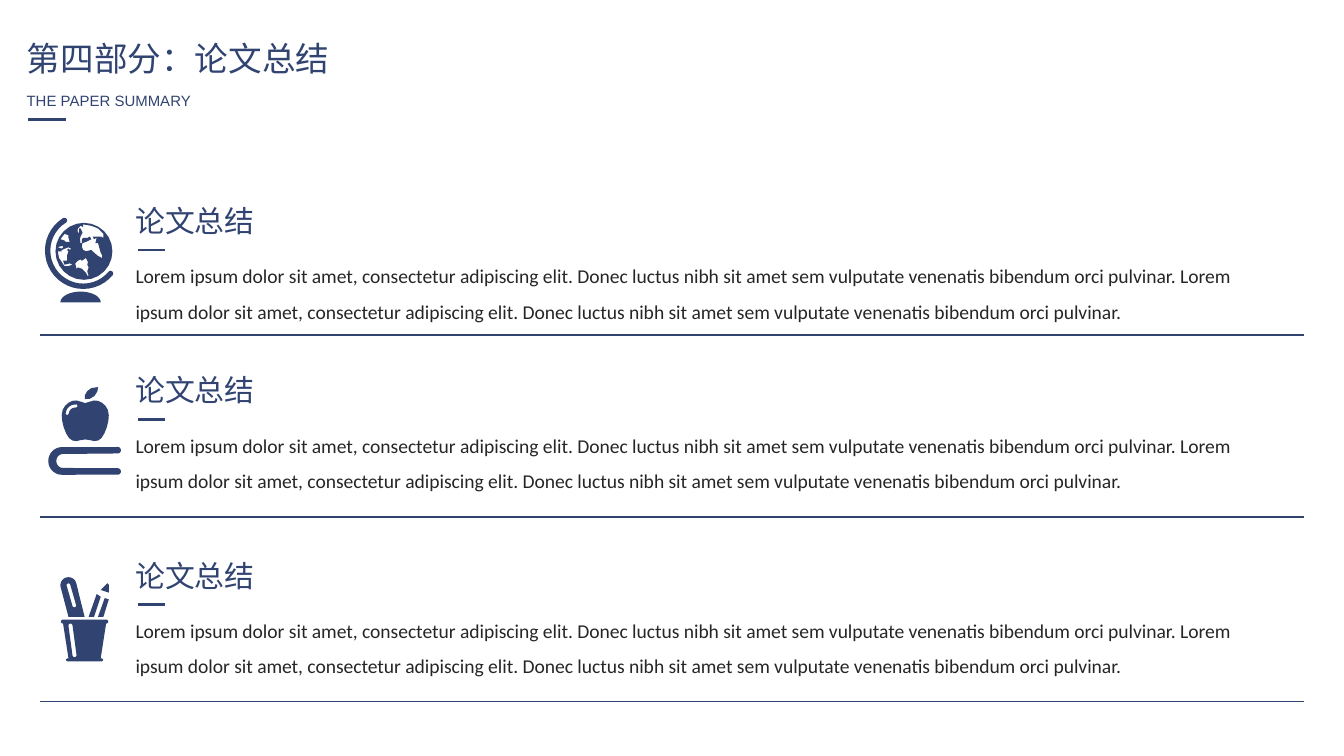
from math import cos, radians, sin

from lxml.etree import SubElement
from pptx import Presentation
from pptx.dml.color import RGBColor
from pptx.enum.shapes import MSO_CONNECTOR
from pptx.enum.text import MSO_ANCHOR, MSO_AUTO_SIZE, PP_ALIGN
from pptx.oxml.ns import qn
from pptx.util import Inches, Pt

NAVY = RGBColor(0x30, 0x43, 0x71)
DARK = RGBColor(0x26, 0x26, 0x26)
HAN = "Noto Sans CJK SC"
LOREM = ("Lorem ipsum dolor sit amet, consectetur adipiscing elit. Donec luctus "
         "nibh sit amet sem vulputate venenatis bibendum orci pulvinar.")

# Wide slide, 16 by 9
deck = Presentation()
deck.slide_width = Inches(10)
deck.slide_height = deck.slide_width * 9 // 16
slide = deck.slides.add_slide(deck.slide_layouts[5])
shapes = slide.shapes


def write(text, left, top, width, height, size, font=HAN, color=NAVY,
          wrap=False, space=1.0, box=None):
    box = box or shapes.add_textbox(0, 0, 0, 0)
    box.left, box.top = Inches(left), Inches(top)
    box.width, box.height = Inches(width), Inches(height)
    frame = box.text_frame
    frame.word_wrap = wrap
    frame.auto_size = MSO_AUTO_SIZE.SHAPE_TO_FIT_TEXT
    frame.vertical_anchor = MSO_ANCHOR.TOP
    para = frame.paragraphs[0]
    para.alignment, para.line_spacing = PP_ALIGN.LEFT, space
    run = para.add_run()
    run.text = text
    run.font.size, run.font.name = Pt(size), font
    run.font.color.rgb = color
    SubElement(run.font._element, qn("a:ea"), typeface=font)


def arc(x, y, wide, high, start, end):
    turns = [radians(start + (end - start) * i / 24) for i in range(25)]
    return [(x + wide * cos(t), y + high * sin(t)) for t in turns]


# Heading
write("第四部分：论文总结", 0.1, 0.23, 2.47, 0.4, 18, box=shapes.title)
write("THE PAPER SUMMARY", 0.1, 0.63, 1.44, 0.24, 8, font="Arial")
lines = [(0.21, 0.49, 0.89, 1.5)]

# Three rows: head, body, short accent and full rule
for top, rule in ((1.46, 2.49), (2.72, 3.85), (4.1, 5.22)):
    write("论文总结", 0.91, top, 1.1, 0.37, 16)
    write(f"{LOREM} {LOREM} ", 0.91, top + 0.37, 8.69, 0.6, 10.5,
          font="Calibri", color=DARK, wrap=True, space=1.5)
    lines += [(1.03, 1.23, top + 0.4, 1.5), (0.3, 9.7, rule, 1)]

for left, right, y, weight in lines:
    line = shapes.add_connector(MSO_CONNECTOR.STRAIGHT, Inches(left), Inches(y),
                                Inches(right), Inches(y))
    line.line.color.rgb, line.line.width = NAVY, Pt(weight)
    SubElement(line._element.spPr, qn("a:effectLst"))

# Icon outlines, in hundredths of an inch; inner outlines are holes
tips = [(62 + 26.5 * cos(radians(a)), 186.5 + 26.5 * sin(radians(a)))
        for a in (238, 40)]
globe = [
    arc(62, 186.5, 28.5, 28.5, 40, 238) + arc(*tips[0], 2, 2, 238, 418)
    + arc(62, 186.5, 24.5, 24.5, 238, 40) + arc(*tips[1], 2, 2, 220, 400),
    arc(60, 225, 15, 8, 180, 360),
    arc(62.5, 187, 21.2, 21.2, 0, 360),
    [(59, 174), (59, 170), (60, 170), (61.5, 173), (60, 176), (59.5, 178),
     (60, 181), (61, 181), (61, 178), (62, 177), (65, 177), (67, 176), (68, 178),
     (64, 180), (61.3, 181), (61, 184), (62, 186), (64, 187), (68, 186), (69, 187),
     (73, 190.5), (76, 192), (76, 190), (75, 188), (73, 181), (71, 181),
     (72, 177), (70, 178), (69, 176), (75, 176), (77, 177), (77, 174),
     (73, 170), (68, 168), (62, 167), (62, 169), (60, 168), (58, 170), (57.7, 172)],
    [(56, 196), (57, 200), (58, 199), (61, 200), (64, 203), (65, 205), (66, 205),
     (65, 202), (66, 199), (65, 197), (65.5, 195), (64, 192), (61, 194),
     (60, 193), (58, 194)],
    [(50, 186), (51, 185), (52, 186), (53, 185), (51, 184), (46, 186), (46, 187),
     (43, 187), (44, 192), (48, 198), (51, 198), (54, 197), (52, 196), (48, 197),
     (47, 194), (50, 194), (50, 190), (51, 187)],
    [(48, 174), (45, 178), (48, 179), (49, 180), (52, 180), (51, 177), (51, 175)],
    [(43, 184), (46, 185), (47, 184), (47, 183), (44, 183.5)],
]

half = [(63.5, 300), (60.5, 299), (57, 298), (54, 298.3), (51, 299.7), (48.5, 302),
        (46.7, 305), (46, 309), (46.3, 313), (47.5, 318), (49.3, 322.5),
        (51.5, 326), (54, 327.8), (57, 328.2), (60, 327.5), (63.5, 327)]
apple = [
    half + [(127 - x, y) for x, y in reversed(half)],
    arc(56, 308, 7, 7, 185, 275) + arc(56.5, 302, 1.2, 1.2, -90, 90)
    + arc(56, 308, 4.7, 4.7, 270, 190) + arc(50, 307.5, 1.2, 1.2, 0, 180),
    [(63.2, 297), (63.3, 294), (65, 291), (68, 288.8), (73, 288),
     (72.6, 291), (70.5, 294.5), (67, 296.7)],
    arc(46.2, 343, 10.2, 10.3, 90, 270) + arc(87.7, 335, 2.3, 2.4, -90, 90)
    + arc(47, 343, 5, 5.2, 270, 90) + arc(87.7, 350.8, 2.3, 2.4, -90, 90),
]

cup = [
    [(78, 445), (81, 446), (77, 459), (73, 459)],
    [(81, 435), (80, 434), (75, 439), (81, 441)],
    [(70, 459), (75, 444), (72, 442), (66, 459)],
    arc(51, 435.5, 6, 6, 165, 345) + [(63, 459), (51, 459)],
    arc(51, 435.5, 1.4, 1.4, 165, 345) + arc(55.3, 450.5, 1.4, 1.4, -15, 165),
    arc(47, 462.5, 1.6, 1.5, 90, 270) + arc(79, 462.5, 1.6, 1.5, -90, 90)
    + arc(75, 491, 1.8, 1.2, -90, 90) + arc(51, 491, 1.8, 1.2, 90, 270),
    arc(52.5, 465.5, 1.5, 1.5, 172, 352) + arc(55.5, 487.5, 1.5, 1.5, -8, 172),
]

# Icons
for icon in (globe, apple, cup):
    pen = None
    for ring in icon:
        ring = [(x * 100, y * 100) for x, y in ring]
        if pen:
            pen.move_to(*ring[0])
        else:
            pen = shapes.build_freeform(*ring[0], scale=Inches(1) / 10000)
        pen.add_line_segments(ring[1:], close=True)
    shape = pen.convert_to_shape()
    shape.shadow.inherit = False
    shape.fill.solid()
    shape.fill.fore_color.rgb = NAVY
    shape.line.fill.background()

deck.save("out.pptx")
